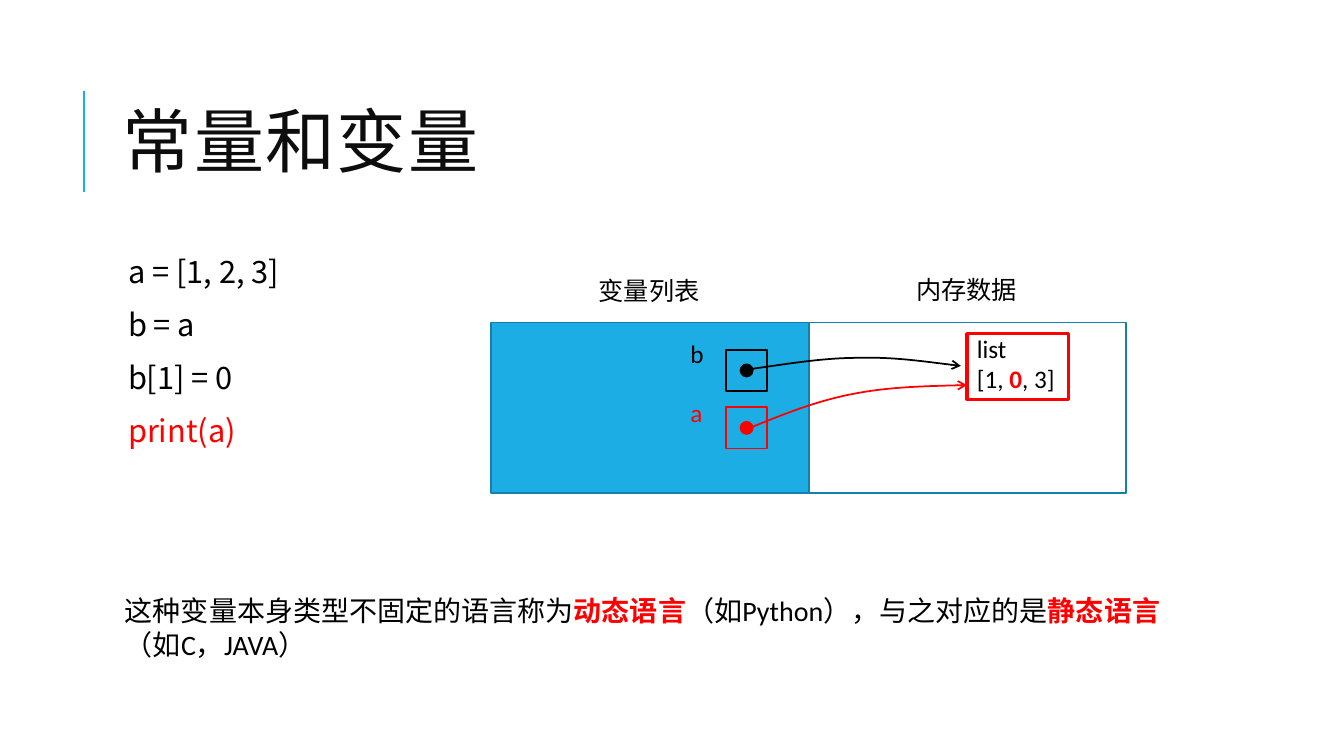
from lxml.etree import SubElement
from pptx import Presentation
from pptx.dml.color import RGBColor
from pptx.enum.shapes import MSO_CONNECTOR, MSO_SHAPE
from pptx.enum.text import MSO_ANCHOR, MSO_AUTO_SIZE
from pptx.oxml.ns import qn
from pptx.util import Inches, Pt

COLORS = {"black": "000000", "title": "0D0D0D", "red": "FF0000",
          "blue": "1CADE4", "border": "1580A9"}
LATIN, CHINESE = "Calibri", "Noto Sans CJK SC"

TITLE = "常量和变量"
CODE = [[("a = [1, 2, 3]", "black")], [("b = a", "black")],
        [("b[1] = 0", "black")], [("print(a)", "red")]]
LIST_VALUE = [[("list", "black")],
              [("[1, ", "black"), ("0", "red", True), (", 3]", "black")]]
SUMMARY = [[("这种变量本身类型不固定的语言称为", "black"),
            ("动态语言", "red", True),
            ("（如Python），与之对应的是", "black"),
            ("静态语言", "red", True),
            ("（如C，JAVA）", "black")]]
PANELS = [("变量列表", 2.68, "blue"), ("内存数据", 2.67, None)]
PANEL_LEFT, PANEL_TOP, PANEL_WIDTH, PANEL_HEIGHT = 4.87, 3.2, 3.15, 1.69
HEADING_WIDTH = 1.21
VARIABLES = [
    ("a", "red", 4.04, 3.89,
     [(7.45, 4.24), (7.77, 4.11), (8.09, 3.98), (8.45, 3.91),
      (8.8, 3.84), (9.2, 3.83), (9.59, 3.82)]),
    ("b", "black", 3.47, 3.31,
     [(7.45, 3.66), (7.81, 3.61), (8.16, 3.55), (8.51, 3.55),
      (8.86, 3.54), (9.19, 3.59), (9.53, 3.63)]),
]
SLOT_LEFT, SLOT_SIZE, DOT_SIZE = 7.2, 0.41, 0.12


def color(name):
    return RGBColor.from_string(COLORS[name])


def add_text(slide, box, paragraphs, size, font=LATIN, wrap=True):
    shape = slide.shapes.add_textbox(*map(Inches, box))
    frame = shape.text_frame
    frame.word_wrap = wrap
    frame.auto_size = MSO_AUTO_SIZE.NONE
    for index, runs in enumerate(paragraphs):
        paragraph = frame.add_paragraph() if index else frame.paragraphs[0]
        for text, tint, *bold in runs:
            run = paragraph.add_run()
            run.text = text
            run.font.size = Pt(size)
            run.font.name = font
            run.font.bold = bool(bold)
            run.font.color.rgb = color(tint)
            SubElement(run.font._element, qn("a:ea"), typeface=CHINESE)
    return frame


def add_box(slide, box, line, fill=None, width=1.25, kind=MSO_SHAPE.RECTANGLE):
    shape = slide.shapes.add_shape(kind, *map(Inches, box))
    style_shape(shape, line, fill, width)


def style_shape(shape, line, fill=None, width=1.25):
    shape.shadow.inherit = False
    if fill:
        shape.fill.solid()
        shape.fill.fore_color.rgb = color(fill)
    else:
        shape.fill.background()
    shape.line.color.rgb = color(line)
    shape.line.width = Pt(width)


def add_curved_arrow(slide, points, tint):
    start, *others = [(Inches(x), Inches(y)) for x, y in points]
    builder = slide.shapes.build_freeform(*start)
    builder.add_line_segments(others, close=False)
    shape = builder.convert_to_shape()
    style_shape(shape, tint)
    outline = next(shape._element.iter(qn("a:path")))
    segments = outline.findall(qn("a:lnTo"))
    for first in range(0, len(segments), 3):
        curve = SubElement(outline, qn("a:cubicBezTo"))
        for segment in segments[first:first + 3]:
            curve.append(segment[0])
            outline.remove(segment)
    SubElement(shape.line._get_or_add_ln(), qn("a:tailEnd"), type="arrow")


def add_title(slide):
    rule = slide.shapes.add_connector(
        MSO_CONNECTOR.STRAIGHT, *map(Inches, (0.83, 1.9, 0.83, 0.9)))
    rule.line.color.rgb = color("blue")
    rule.line.width = Pt(1.5)
    SubElement(rule._element.spPr, qn("a:effectLst"))
    frame = add_text(slide, (1.12, 0.64, 10.63, 1.64), [[(TITLE, "title")]], 50, CHINESE)
    frame.vertical_anchor = MSO_ANCHOR.MIDDLE
    frame.paragraphs[0].line_spacing = 0.8
    frame.paragraphs[0].runs[0].font._element.set("spc", "100")


def add_code(slide):
    frame = add_text(slide, (1.12, 2.5, 3.5, 2.3), CODE, 22, CHINESE)
    frame.margin_left = Inches(0.15)
    frame.margin_right = frame.margin_top = frame.margin_bottom = Inches(0.05)
    for paragraph in frame.paragraphs:
        paragraph.line_spacing = 0.9
        paragraph.space_before = Pt(12)
        paragraph.space_after = Pt(2)


def add_diagram(slide):
    for index, (heading, top, fill) in enumerate(PANELS):
        left = PANEL_LEFT + index * PANEL_WIDTH
        add_box(slide, (left, PANEL_TOP, PANEL_WIDTH, PANEL_HEIGHT), "border", fill)
        heading_left = left + (PANEL_WIDTH - HEADING_WIDTH) / 2
        add_text(slide, (heading_left, top, HEADING_WIDTH, 0.4),
                 [[(heading, "black")]], 18)
    add_text(slide, (9.59, 3.26, 1.01, 0.71), LIST_VALUE, 18, wrap=False)
    inset = (SLOT_SIZE - DOT_SIZE) / 2
    for name, tint, top, label_top, points in VARIABLES:
        add_box(slide, (SLOT_LEFT, top, SLOT_SIZE, SLOT_SIZE), tint)
        add_box(slide, (SLOT_LEFT + inset, top + inset, DOT_SIZE, DOT_SIZE),
                tint, tint, kind=MSO_SHAPE.OVAL)
        add_text(slide, (6.75, label_top, 0.34, 0.4), [[(name, tint)]], 18, wrap=False)
        add_curved_arrow(slide, points, tint)
    add_box(slide, (9.59, 3.31, 1.01, 0.65), "red", width=2.25)


def main():
    presentation = Presentation()
    presentation.slide_width = Inches(13.33)
    presentation.slide_height = Inches(7.5)
    slide = presentation.slides.add_slide(presentation.slide_layouts[6])
    add_title(slide)
    add_code(slide)
    add_diagram(slide)
    add_text(slide, (1.14, 5.84, 10.91, 0.77), SUMMARY, 20)
    presentation.save("out.pptx")


if __name__ == "__main__":
    main()
